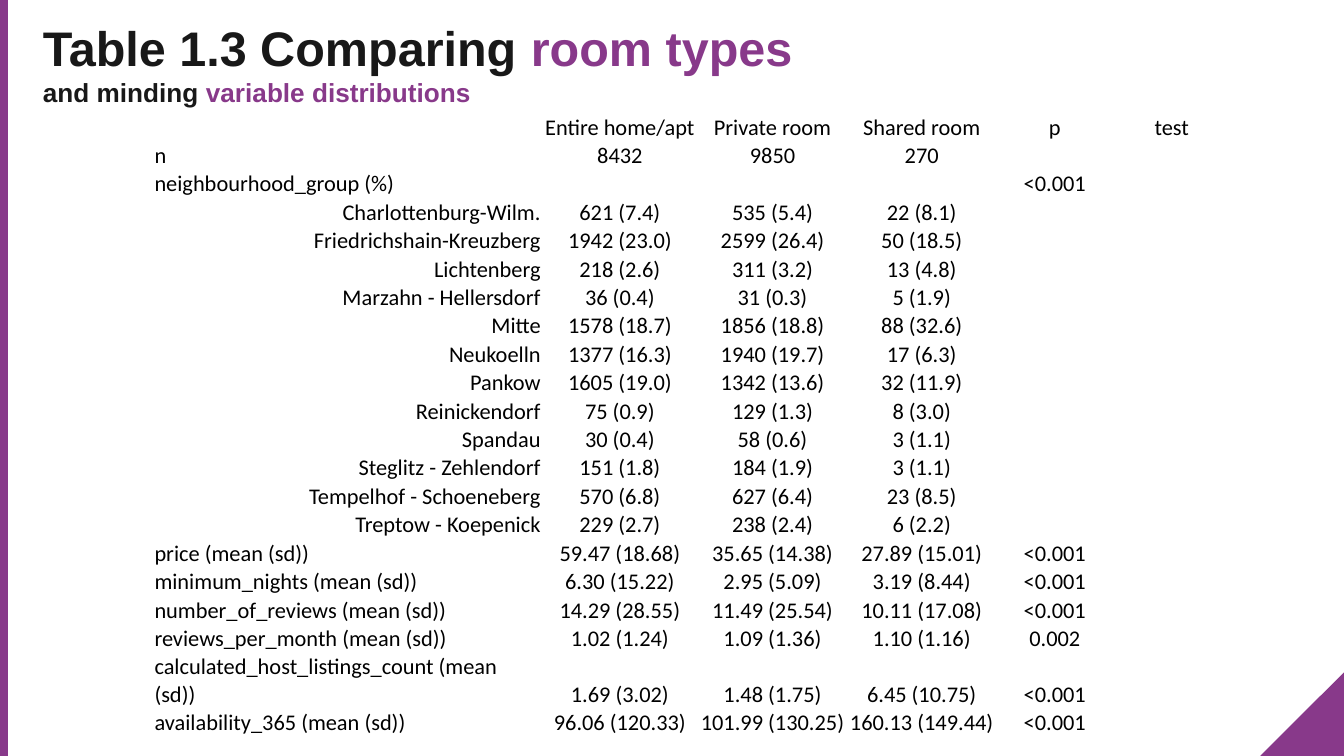
from pptx import Presentation
from pptx.dml.color import RGBColor
from pptx.enum.shapes import MSO_SHAPE
from pptx.enum.text import MSO_ANCHOR, PP_ALIGN
from pptx.util import Cm, Pt

LEFT, CENTER, RIGHT = PP_ALIGN.LEFT, PP_ALIGN.CENTER, PP_ALIGN.RIGHT
MIDDLE, BOTTOM = MSO_ANCHOR.MIDDLE, MSO_ANCHOR.BOTTOM
TRIANGLE, RECTANGLE = MSO_SHAPE.RIGHT_TRIANGLE, MSO_SHAPE.RECTANGLE

PURPLE, DARK, BLACK = "88398A", "181818", "000000"
PAGE_WIDTH, PAGE_HEIGHT = 25.4, 14.29
CORNER, BAR_WIDTH = 1.58, 0.15

TITLE_LINES = [
    (26, [("Table 1.3 Comparing ", DARK), ("room types ", PURPLE)]),
    (14, [("and minding", DARK), (" variable distributions", PURPLE)]),
]

HEADER = ["", "Entire home/apt", "Private room", "Shared room", "p", "test"]
COUNTS = [
    ["n", "8432", "9850", "270"],
    ["neighbourhood_group (%)", "", "", "", "<0.001"],
]
DISTRICTS = [
    ["Charlottenburg-Wilm.", "621 (7.4)", "535 (5.4)", "22 (8.1)"],
    ["Friedrichshain-Kreuzberg", "1942 (23.0)", "2599 (26.4)", "50 (18.5)"],
    ["Lichtenberg", "218 (2.6)", "311 (3.2)", "13 (4.8)"],
    ["Marzahn - Hellersdorf", "36 (0.4)", "31 (0.3)", "5 (1.9)"],
    ["Mitte", "1578 (18.7)", "1856 (18.8)", "88 (32.6)"],
    ["Neukoelln", "1377 (16.3)", "1940 (19.7)", "17 (6.3)"],
    ["Pankow", "1605 (19.0)", "1342 (13.6)", "32 (11.9)"],
    ["Reinickendorf", "75 (0.9)", "129 (1.3)", "8 (3.0)"],
    ["Spandau", "30 (0.4)", "58 (0.6)", "3 (1.1)"],
    ["Steglitz - Zehlendorf", "151 (1.8)", "184 (1.9)", "3 (1.1)"],
    ["Tempelhof - Schoeneberg", "570 (6.8)", "627 (6.4)", "23 (8.5)"],
    ["Treptow - Koepenick", "229 (2.7)", "238 (2.4)", "6 (2.2)"],
]
MEANS = [
    ["price (mean (sd))", "59.47 (18.68)", "35.65 (14.38)", "27.89 (15.01)", "<0.001"],
    ["minimum_nights (mean (sd))", "6.30 (15.22)", "2.95 (5.09)", "3.19 (8.44)", "<0.001"],
    ["number_of_reviews (mean (sd))", "14.29 (28.55)", "11.49 (25.54)", "10.11 (17.08)", "<0.001"],
    ["reviews_per_month (mean (sd))", "1.02 (1.24)", "1.09 (1.36)", "1.10 (1.16)", "0.002"],
    ["calculated_host_listings_count (mean (sd))", "1.69 (3.02)", "1.48 (1.75)", "6.45 (10.75)", "<0.001"],
    ["availability_365 (mean (sd))", "96.06 (120.33)", "101.99 (130.25)", "160.13 (149.44)", "<0.001"],
]
COLUMN_WIDTHS = [7.34, 2.95, 2.82, 2.82, 2.21, 2.21]
ROW_HEIGHT = 0.41
CELL_FORMAT = {"margin_left": Cm(0.02), "margin_right": Cm(0.02),
               "margin_top": Cm(0.02), "margin_bottom": 0, "vertical_anchor": BOTTOM}
TITLE_FORMAT = {"margin_left": Cm(0.25), "margin_right": Cm(0.25), "margin_top": Cm(0.25),
                "margin_bottom": Cm(0.25), "vertical_anchor": MIDDLE, "word_wrap": True}


def apply(target, values):
    for name, value in values.items():
        setattr(target, name, value)


def color(hex_text):
    return RGBColor.from_string(hex_text)


def add_span(para, text, size, hex_text, font, bold=False):
    span = para.add_run()
    span.text = text
    apply(span.font, {"size": Pt(size), "name": font, "bold": bold})
    span.font.color.rgb = color(hex_text)


def add_decoration(page, kind, left, top, width, height):
    shape = page.shapes.add_shape(kind, Cm(left), Cm(top), Cm(width), Cm(height))
    shape.shadow.inherit = False
    shape.fill.solid()
    shape.fill.fore_color.rgb = color(PURPLE)
    shape.line.fill.background()
    return shape


def add_title(page):
    title = page.shapes.title
    apply(title, {"left": Cm(0.56), "top": 0, "width": Cm(23.14), "height": Cm(2.39)})
    apply(title.text_frame, TITLE_FORMAT)
    para = title.text_frame.paragraphs[0]
    apply(para, {"alignment": LEFT, "line_spacing": 1.0})
    for index, (size, parts) in enumerate(TITLE_LINES):
        if index:
            para.add_line_break()
        for text, hex_text in parts:
            add_span(para, text, size, hex_text, "Arial", bold=True)


def fill_cell(cell, text, alignment):
    cell.fill.background()
    apply(cell, CELL_FORMAT)
    para = cell.text_frame.paragraphs[0]
    para.alignment = alignment
    if text:
        add_span(para, text, 12, BLACK, "Calibri")
    else:
        # an empty cell must not make its row taller than the text does
        para._p.get_or_add_endParaRPr().set("sz", "1200")


def add_room_table(page):
    rows = [HEADER] + COUNTS + DISTRICTS + MEANS
    frame = page.shapes.add_table(len(rows), len(HEADER), Cm(2.9), Cm(2.13),
                                  Cm(sum(COLUMN_WIDTHS)), Cm(ROW_HEIGHT * len(rows)))
    table = frame.table
    apply(table, {"first_row": False, "horz_banding": False})
    for column, width in zip(table.columns, COLUMN_WIDTHS):
        column.width = Cm(width)
    for row, values in zip(table.rows, rows):
        row.height = Cm(ROW_HEIGHT)
        padded = values + [""] * (len(HEADER) - len(values))
        label_alignment = RIGHT if values in DISTRICTS else LEFT
        for index, (cell, text) in enumerate(zip(row.cells, padded)):
            fill_cell(cell, text, CENTER if index else label_alignment)


def main():
    deck = Presentation()
    apply(deck, {"slide_width": Cm(PAGE_WIDTH), "slide_height": Cm(PAGE_HEIGHT)})
    page = deck.slides.add_slide(deck.slide_layouts[5])
    corner = add_decoration(page, TRIANGLE, PAGE_WIDTH - CORNER, PAGE_HEIGHT - CORNER,
                            CORNER, CORNER)
    corner._element.spPr.xfrm.set("flipH", "1")
    add_decoration(page, RECTANGLE, 0, 0, BAR_WIDTH, PAGE_HEIGHT)
    add_title(page)
    add_room_table(page)
    deck.save("out.pptx")


if __name__ == "__main__":
    main()
